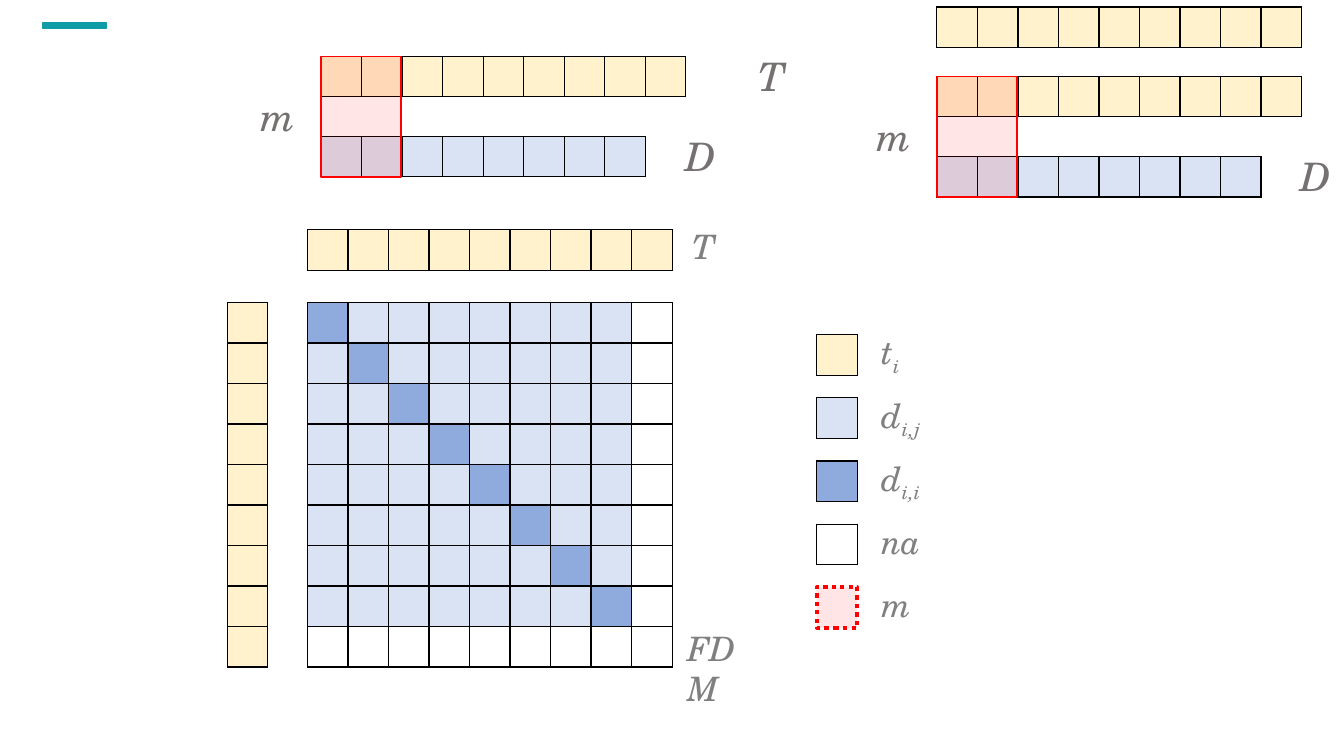
from dataclasses import dataclass

import pptx
import pptx.dml.color
import pptx.enum.dml
import pptx.enum.shapes
import pptx.enum.text
import pptx.oxml
import pptx.oxml.ns
import pptx.presentation
import pptx.slide
import pptx.util

Pt = pptx.util.Pt

CELL = 28.95
FONT = "TeX Gyre Schola"
TEAL, RED, BLACK, WHITE = "0F9CA7", "FF0000", "000000", "FFFFFF"
SERIES, DISTANCE, DIAGONAL = "FFF2CC", "DAE3F3", "8FAADC"
DARK_GRAY, GRAY = "767171", "808080"


@dataclass
class Grid:
    left: float
    top: float
    cells: list[list[str]]


@dataclass
class Label:
    left: float
    top: float
    width: float
    text: str
    subscript: str = ""
    size: float = 24
    color: str = GRAY
    wrap: bool = False


@dataclass
class Box:
    left: float
    top: float
    width: float
    height: float
    color: str
    line: float = 1
    alpha: int = 100
    dotted: bool = False


def rgb(color: str) -> pptx.dml.color.RGBColor:
    return pptx.dml.color.RGBColor.from_string(color)


def draw_grid(slide: pptx.slide.Slide, grid: Grid) -> None:
    rows, columns = len(grid.cells), len(grid.cells[0])
    table = slide.shapes.add_table(
        rows, columns, Pt(grid.left), Pt(grid.top), Pt(columns * CELL), Pt(rows * CELL)
    ).table
    table.first_row = table.horz_banding = False
    for track in table.columns:
        track.width = Pt(CELL)
    for track in table.rows:
        track.height = Pt(CELL)
    for r, colors in enumerate(grid.cells):
        for c, color in enumerate(colors):
            cell = table.cell(r, c)
            cell.margin_left = cell.margin_right = cell.margin_top = cell.margin_bottom = 0
            properties = cell._tc.get_or_add_tcPr()
            for side in "LRTB":
                properties.append(pptx.oxml.parse_xml(
                    f'<a:ln{side} {pptx.oxml.ns.nsdecls("a")} w="{Pt(1)}"><a:solidFill>'
                    f'<a:srgbClr val="{BLACK}"/></a:solidFill></a:ln{side}>'
                ))
            cell.fill.solid()
            cell.fill.fore_color.rgb = rgb(color)


def draw_label(slide: pptx.slide.Slide, label: Label) -> None:
    height = 41 if label.size > 24 else 36
    frame = slide.shapes.add_textbox(
        Pt(label.left), Pt(label.top), Pt(label.width), Pt(height)
    ).text_frame
    frame.word_wrap = label.wrap
    frame.auto_size = pptx.enum.text.MSO_AUTO_SIZE.SHAPE_TO_FIT_TEXT
    frame.text = label.text
    paragraph = frame.paragraphs[0]
    if label.subscript:
        run = paragraph.add_run()
        run.text = label.subscript
        run._r.get_or_add_rPr().set("baseline", "-25000")
    for run in paragraph.runs:
        run.font.name = FONT
        run.font.size = Pt(label.size)
        run.font.italic = True
        run.font.color.rgb = rgb(label.color)


def draw_box(slide: pptx.slide.Slide, box: Box) -> None:
    shape = slide.shapes.add_shape(
        pptx.enum.shapes.MSO_SHAPE.RECTANGLE,
        Pt(box.left), Pt(box.top), Pt(box.width), Pt(box.height),
    )
    shape.shadow.inherit = False
    shape.fill.solid()
    shape.fill.fore_color.rgb = rgb(box.color)
    if box.alpha < 100:
        fill_color = shape._element.spPr.find(
            f"{pptx.oxml.ns.qn('a:solidFill')}/{pptx.oxml.ns.qn('a:srgbClr')}")
        fill_color.append(pptx.oxml.parse_xml(
            f'<a:alpha {pptx.oxml.ns.nsdecls("a")} val="{box.alpha * 1000}"/>'))
    shape.line.color.rgb = rgb(box.color)
    shape.line.width = Pt(box.line)
    if box.dotted:
        shape.line.dash_style = pptx.enum.dml.MSO_LINE.ROUND_DOT


def window_panel(left: float, top: float) -> list[Grid | Label | Box]:
    """Series over its distances, with the window m across both."""
    return [
        Grid(left, top, [[SERIES] * 9]),
        Grid(left, top + 57.2, [[DISTANCE] * 8]),
        Label(left - 50.2, top + 22.5, 39.6, "m", size=28, color=DARK_GRAY),
        Label(left + 253, top + 51, 36, "D", size=28, color=DARK_GRAY),
        Box(left, top, 57.2, 86.2, RED, alpha=10),
    ]


def matrix_color(row: int, column: int) -> str:
    if 8 in (row, column):
        return WHITE
    return DIAGONAL if row == column else DISTANCE


def legend() -> list[Grid | Label | Box]:
    entries = [
        (SERIES, "t", "i", 28),
        (DISTANCE, "d", "i,j", 46),
        (DIAGONAL, "d", "i,i", 46),
        (WHITE, "na", "", 46),
        (RED, "m", "", 46),
    ]
    parts: list[Grid | Label | Box] = []
    for index, (color, text, subscript, width) in enumerate(entries):
        top = 239.1 + 45.1 * index
        if color == RED:
            parts.append(Box(583.4, top, CELL, CELL, RED, line=3, alpha=10, dotted=True))
        else:
            parts.append(Grid(583.4, top, [[color]]))
        parts.append(Label(622.5, top - 6, width, text, subscript))
    return parts


def main() -> None:
    presentation = pptx.Presentation()
    presentation.slide_width, presentation.slide_height = Pt(960), Pt(540)
    slide = presentation.slides.add_slide(presentation.slide_layouts[6])

    matrix_left, matrix_top = 219.6, 216
    parts = [
        # Accent bar and first window panel
        Box(30.3, 16.5, 46, 3.6, TEAL),
        *window_panel(229.4, 40.2),
        Label(535, 33.9, 32.4, "T", size=28, color=DARK_GRAY),
        # Distance matrix with the series along both sides
        Grid(matrix_left, matrix_top,
             [[matrix_color(r, c) for c in range(9)] for r in range(9)]),
        Label(487.6, 157.8, 29.5, "T"),
        Label(483.8, 445, 69.8, "FDM", wrap=True),
        Grid(matrix_left, 164, [[SERIES] * 9]),
        Grid(162.3, matrix_top, [[SERIES]] * 9),
        # Legend
        *legend(),
        # Second window panel with a spare series above
        *window_panel(669.2, 54.5),
        Grid(669.2, 5, [[SERIES] * 9]),
    ]
    for part in parts:
        if isinstance(part, Grid):
            draw_grid(slide, part)
        elif isinstance(part, Label):
            draw_label(slide, part)
        else:
            draw_box(slide, part)
    presentation.save("out.pptx")


if __name__ == "__main__":
    main()
